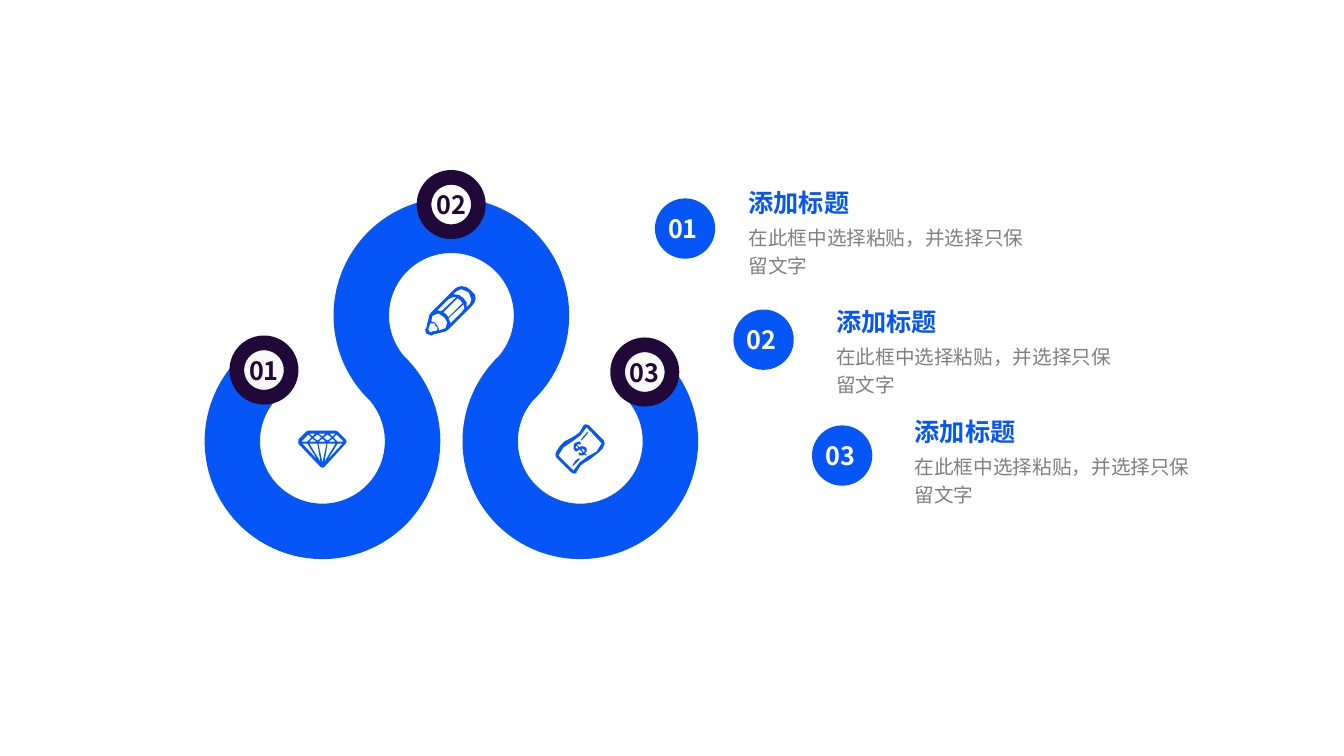
from dataclasses import dataclass

from lxml import etree
from pptx import Presentation
from pptx import util as u
from pptx.dml.color import RGBColor
from pptx.enum import shapes, text
from pptx.oxml.ns import qn

Cm = u.Cm


@dataclass(frozen=True)
class Theme:
    font: str = "Noto Sans CJK SC"
    blue: RGBColor = RGBColor(0x06, 0x56, 0xF7)
    plum: RGBColor = RGBColor(0x20, 0x08, 0x38)
    gray: RGBColor = RGBColor(0x80, 0x80, 0x80)
    white: RGBColor = RGBColor(0xFF, 0xFF, 0xFF)
    pale: RGBColor = RGBColor(0xF9, 0xF9, 0xF9)
    heading: u.Pt = u.Pt(18)
    body: u.Pt = u.Pt(14)


theme = Theme()


def paint(shape, color):
    shape.shadow.inherit = False
    shape.fill.solid()
    shape.fill.fore_color.rgb = color
    shape.line.fill.background()


def write(shape, words, size, color, bold=True):
    shape.text_frame.word_wrap = True
    para = shape.text_frame.paragraphs[0]
    para.text = words
    para.font.size, para.font.bold = size, bold
    para.font.color.rgb = color
    para.font.name = theme.font
    # East Asian characters need their own typeface entry
    properties = para._p.pPr.find(qn("a:defRPr"))
    etree.SubElement(properties, qn("a:ea")).set("typeface", theme.font)
    return para


deck = Presentation()
deck.slide_width, deck.slide_height = Cm(33.88), Cm(19.05)
page = deck.slides.add_slide(deck.slide_layouts[6])

# Winding band: two arcs open at the top, one open at the bottom
ring_size, ring_step = 5.94, 3.25
for i, (top, start, end) in enumerate([(8.15, 315, 225), (4.98, 135, 45), (8.15, 315, 225)]):
    arc = page.shapes.add_shape(
        shapes.MSO_SHAPE.BLOCK_ARC, Cm(5.16 + i * ring_step), Cm(top), Cm(ring_size), Cm(ring_size))
    # Angles are stored in 60000ths of a degree, adjustments in 100000ths
    for k, value in enumerate([start * 0.6, end * 0.6, 0.235]):
        arc.adjustments[k] = value
    paint(arc, theme.blue)

# Numbered badges on the band
badges = [(5.97, 8.64, theme.pale), (10.69, 4.47, theme.white), (15.57, 8.69, theme.pale)]
for number, (left, top, color) in enumerate(badges, 1):
    badge = page.shapes.add_shape(shapes.MSO_SHAPE.OVAL, Cm(left), Cm(top), Cm(1.37), Cm(1.37))
    paint(badge, color)
    badge.line.color.rgb = theme.plum
    badge.line.width = u.Pt(10.5)
    frame = badge.text_frame
    frame.margin_left = frame.margin_right = frame.margin_top = frame.margin_bottom = 0
    frame.vertical_anchor = text.MSO_ANCHOR.MIDDLE
    write(badge, f"{number:02}", theme.heading, theme.plum).alignment = text.PP_ALIGN.CENTER

# Icons: contours in hundredths of an inch; inner contours cut holes
pencil = [
    [(45, 4), (41, 1), (36, 0), (32, 1), (29, 3), (22, 10), (6, 26), (4, 29), (1, 42), (0, 43),
     (1, 47), (6, 49), (8, 48), (20, 45), (23, 43), (46, 20), (49, 16), (50, 12), (49, 8)],
    [(25, 36), (23, 32), (38, 18), (39, 22), (36, 26), (25, 37)],
    [(23, 31), (21, 28), (18, 26), (32, 12), (35, 14), (37, 17)],
    [(16, 25), (12, 24), (23, 13), (27, 11), (31, 11)],
    [(7, 45), (6, 46), (4, 45), (3, 43), (5, 37), (9, 37), (10, 39), (12, 41), (12, 44)],
    [(14, 44), (13, 41), (11, 38), (9, 36), (6, 35), (7, 30), (8, 29), (13, 27), (19, 31),
     (22, 36), (20, 42), (19, 42)],
    [(44, 18), (41, 21), (41, 16), (38, 12), (34, 9), (28, 8), (31, 5), (36, 3), (43, 6),
     (46, 13), (45, 16)],
]
diamond = [
    [(0, 11), (0, 9), (8, 1), (10, 0), (37, 0), (39, 1), (47, 9), (48, 11), (47, 13),
     (26, 36), (24, 37), (22, 36), (0, 13)],
    [(27, 11), (20, 11), (24, 8)],
    [(24, 6), (20, 3), (27, 3)],
    [(28, 13), (24, 32), (20, 13)],
]
# Facets of the left half are mirrored to the right
for facet in [
    [(23, 7), (19, 4), (15, 7), (19, 10)],
    [(19, 13), (22, 31), (11, 13)],
    [(14, 8), (18, 11), (11, 11)],
    [(14, 6), (11, 3), (17, 3)],
    [(19, 29), (4, 13), (9, 13)],
    [(10, 4), (13, 7), (9, 11), (3, 11)],
]:
    diamond += [facet, [(48 - x, y) for x, y in facet]]
banknote = [
    [(48, 16), (33, 1), (30, 0), (28, 1), (27, 3), (24, 8), (20, 11), (15, 14), (9, 17),
     (5, 21), (1, 27), (0, 30), (1, 33), (16, 48), (19, 49), (21, 48), (21, 47), (25, 41),
     (29, 38), (34, 35), (43, 28), (47, 24), (49, 19)],
    [(18, 46), (3, 31), (8, 23), (17, 17), (25, 11), (31, 3), (46, 19), (41, 27), (32, 32),
     (24, 38)],
    [(30, 23), (28, 22), (25, 22), (24, 23), (21, 20), (25, 20), (25, 18), (24, 17), (21, 18),
     (19, 19), (18, 21), (18, 24), (19, 26), (21, 27), (24, 25), (27, 28), (26, 29), (24, 28),
     (23, 29), (24, 31), (27, 31), (29, 30), (30, 31), (31, 30), (29, 29), (31, 27), (31, 24)],
    [(21, 24), (20, 23), (21, 21), (23, 24)],
    [(29, 27), (28, 28), (26, 25), (27, 24), (28, 25), (29, 26)],
    [(23, 34), (20, 36), (18, 39), (17, 41), (18, 41), (21, 38), (24, 35), (24, 34)],
    [(28, 12), (25, 16), (26, 16), (29, 13), (32, 9), (33, 8), (31, 8), (30, 10)],
]
for contours, left, top in [(pencil, 10.72, 7.21), (diamond, 7.52, 10.85), (banknote, 14, 10.69)]:
    outline, *holes = contours
    builder = page.shapes.build_freeform(*outline[0], scale=u.Inches(0.01))
    builder.add_line_segments(outline[1:], close=True)
    for hole in holes:
        builder.move_to(*hole[0])
        builder.add_line_segments(hole[1:], close=True)
    paint(builder.convert_to_shape(Cm(left), Cm(top)), theme.blue)

# Legend stepping down to the right: number, heading, body
entries = [(5.0, 18.62, 4.6), (7.8, 20.83, 7.59), (10.72, 22.81, 10.36)]
for i, (dot_top, left, top) in enumerate(entries):
    dot = page.shapes.add_shape(
        shapes.MSO_SHAPE.OVAL, Cm(16.51 + i * 1.98), Cm(dot_top), Cm(1.52), Cm(1.52))
    paint(dot, theme.blue)
    frame = dot.text_frame
    frame.margin_left, frame.margin_right = Cm(0.11), 0
    frame.margin_top = frame.margin_bottom = 0
    frame.vertical_anchor = text.MSO_ANCHOR.MIDDLE
    write(dot, f"{i + 1:02}", theme.heading, theme.white).alignment = text.PP_ALIGN.LEFT

    heading = page.shapes.add_textbox(Cm(left), Cm(top), Cm(7.67), Cm(1.02))
    write(heading, "添加标题", theme.heading, theme.blue)
    body = page.shapes.add_textbox(Cm(left), Cm(top + 0.85), Cm(7.8), Cm(1.7))
    para = write(body, "在此框中选择粘贴，并选择只保留文字", theme.body, theme.gray, bold=False)
    para.line_spacing = 1.2

deck.save("out.pptx")
